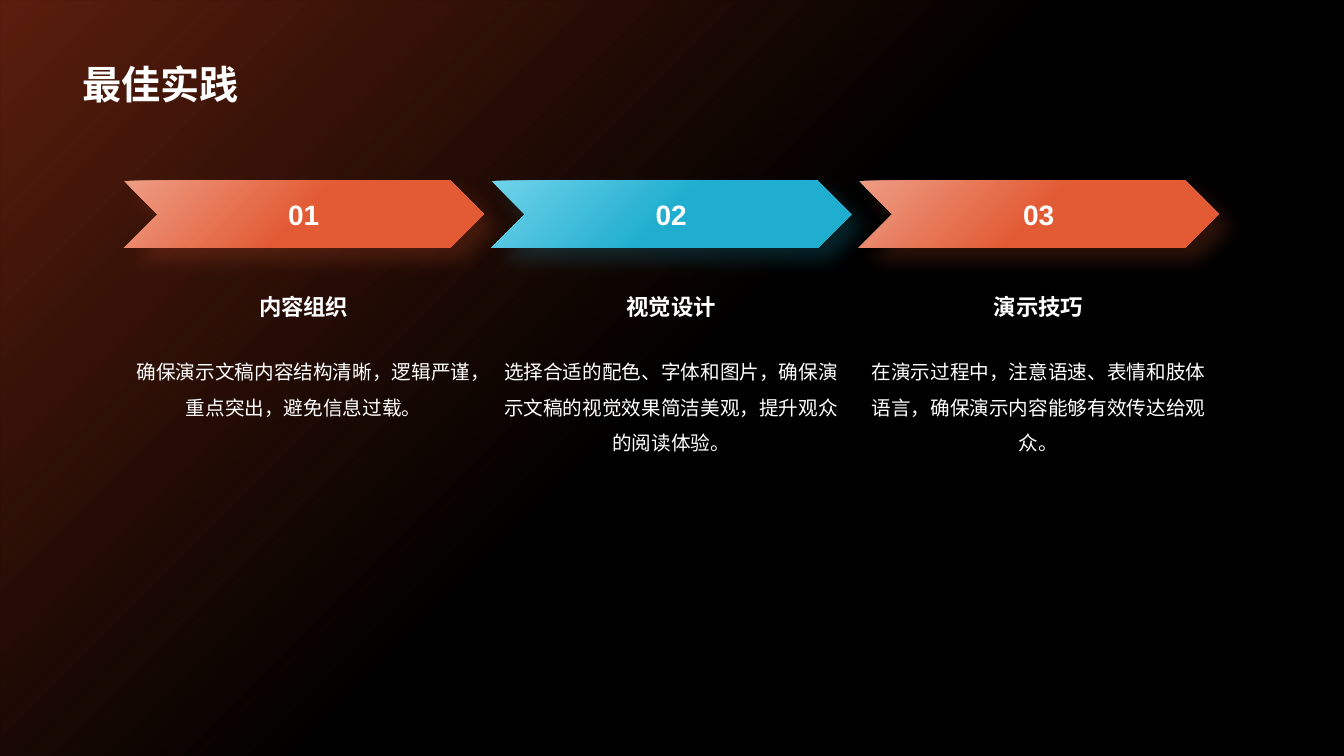
from dataclasses import dataclass

from lxml.etree import SubElement
from pptx import Presentation
from pptx.dml.color import RGBColor
from pptx.enum.shapes import MSO_SHAPE
from pptx.enum.text import MSO_ANCHOR, MSO_AUTO_SIZE, PP_ALIGN
from pptx.oxml import parse_xml
from pptx.oxml.ns import nsdecls, qn
from pptx.util import Cm, Pt


@dataclass(frozen=True)
class Theme:
    background: str = "000000"
    glow: str = "B63D1A"
    text: str = "FFFFFF"
    orange: tuple = ("EE9D85", "E25B34")
    cyan: tuple = ("71D3EA", "1FAECF")
    latin: str = "Arial"
    chinese: str = "Noto Sans CJK SC"
    title: int = 28
    number: int = 20
    heading: int = 16
    body: int = 14


theme = Theme()


def fill_gradient(shape, colors):
    shape.shadow.inherit = False
    shape.line.fill.background()
    shape.fill.gradient()
    shape.fill.gradient_angle = 315
    for stop, color, position in zip(shape.fill.gradient_stops, colors, (0, 0.5)):
        stop.color.rgb = RGBColor.from_string(color)
        stop.position = position


def write(shape, text, size, font, bold=True, align=PP_ALIGN.CENTER, anchor=MSO_ANCHOR.TOP):
    frame = shape.text_frame
    frame.word_wrap = True
    frame.vertical_anchor = anchor
    para = frame.paragraphs[0]
    para.text = text
    para.alignment = align
    para.font.size = Pt(size)
    para.font.bold = bold
    para.font.name = font
    para.font.color.rgb = RGBColor.from_string(theme.text)
    properties = para._p.get_or_add_pPr().find(qn("a:defRPr"))
    SubElement(properties, qn("a:ea")).set("typeface", font)
    return para


deck = Presentation()
deck.slide_width = Cm(33.87)
deck.slide_height = Cm(19.05)
page = deck.slides.add_slide(deck.slide_layouts[6])
page.background.fill.solid()
page.background.fill.fore_color.rgb = RGBColor.from_string(theme.background)

glow = page.shapes.add_shape(MSO_SHAPE.RECTANGLE, 0, 0, deck.slide_width, deck.slide_height)
fill_gradient(glow, (theme.glow, theme.glow))
for color, alpha in zip(glow._element.spPr.iter(qn("a:srgbClr")), (50000, 0)):
    SubElement(color, qn("a:alpha")).set("val", str(alpha))

title = page.shapes.add_textbox(Cm(1.83), 0, Cm(30.18), Cm(2.84))
write(title, "最佳实践", theme.title, theme.chinese, align=PP_ALIGN.LEFT, anchor=MSO_ANCHOR.BOTTOM)

practices = [
    ("内容组织", "确保演示文稿内容结构清晰，逻辑严谨，重点突出，避免信息过载。", theme.orange, 1.96),
    ("视觉设计", "选择合适的配色、字体和图片，确保演示文稿的视觉效果简洁美观，提升观众的阅读体验。", theme.cyan, 2.26),
    ("演示技巧", "在演示过程中，注意语速、表情和肢体语言，确保演示内容能够有效传达给观众。", theme.orange, 1.27),
]
width = Cm(9.07)
for index, (heading, body, colors, body_height) in enumerate(practices):
    left = Cm(3.12 + index * 9.26)

    arrow = page.shapes.add_shape(MSO_SHAPE.CHEVRON, left, Cm(4.55), width, Cm(1.7))
    fill_gradient(arrow, colors)
    effects = arrow._element.spPr.find(qn("a:effectLst"))
    effects.append(parse_xml(
        f'<a:outerShdw {nsdecls("a")} blurRad="{Pt(14)}" dist="{Pt(12)}" dir="2700000" '
        f'algn="tl" rotWithShape="0"><a:srgbClr val="{colors[1]}">'
        '<a:alpha val="20000"/></a:srgbClr></a:outerShdw>'
    ))
    write(arrow, f"{index + 1:02}", theme.number, theme.latin, anchor=MSO_ANCHOR.MIDDLE)

    heading_box = page.shapes.add_textbox(left, Cm(7.26), width, Cm(0.94))
    write(heading_box, heading, theme.heading, theme.chinese)
    heading_box.text_frame.auto_size = MSO_AUTO_SIZE.SHAPE_TO_FIT_TEXT

    body_box = page.shapes.add_textbox(left, Cm(8.66), width, Cm(body_height))
    para = write(body_box, body, theme.body, theme.chinese, bold=False)
    para.line_spacing = 1.5
    body_box.text_frame.auto_size = MSO_AUTO_SIZE.SHAPE_TO_FIT_TEXT

deck.save("out.pptx")
